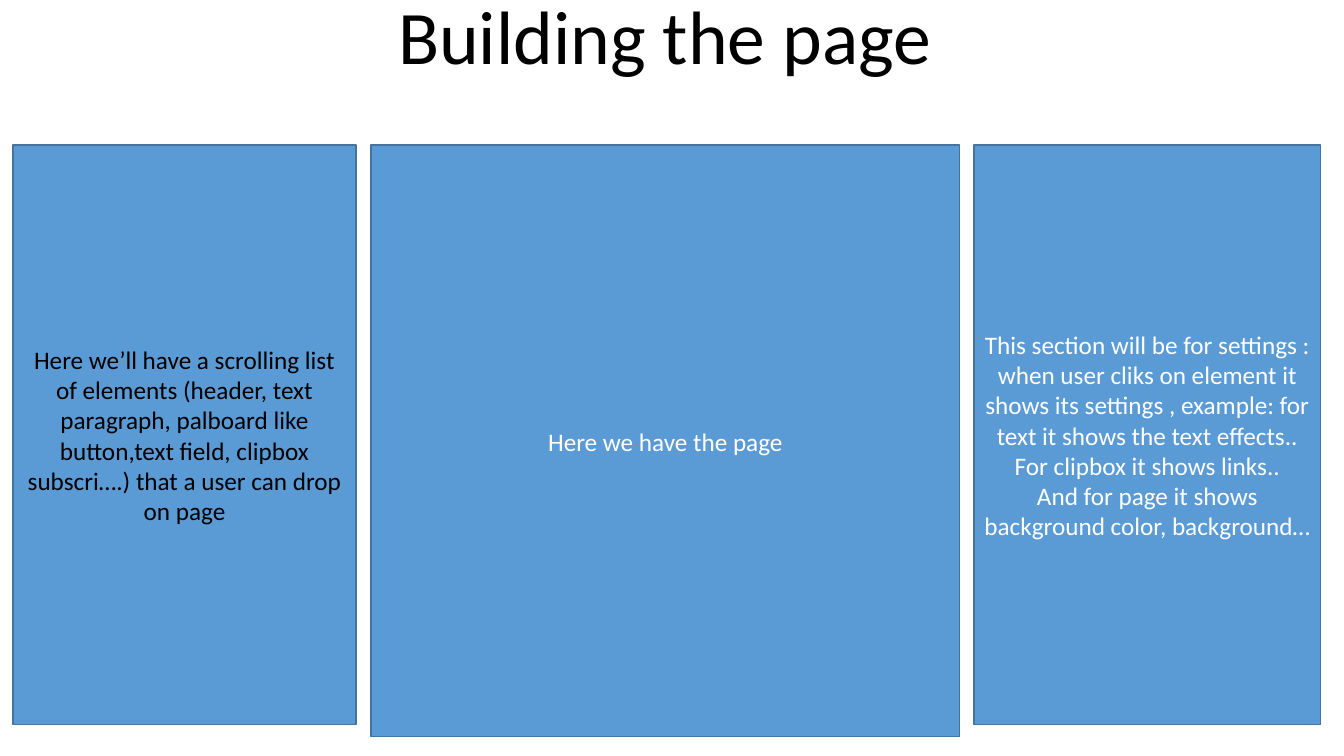
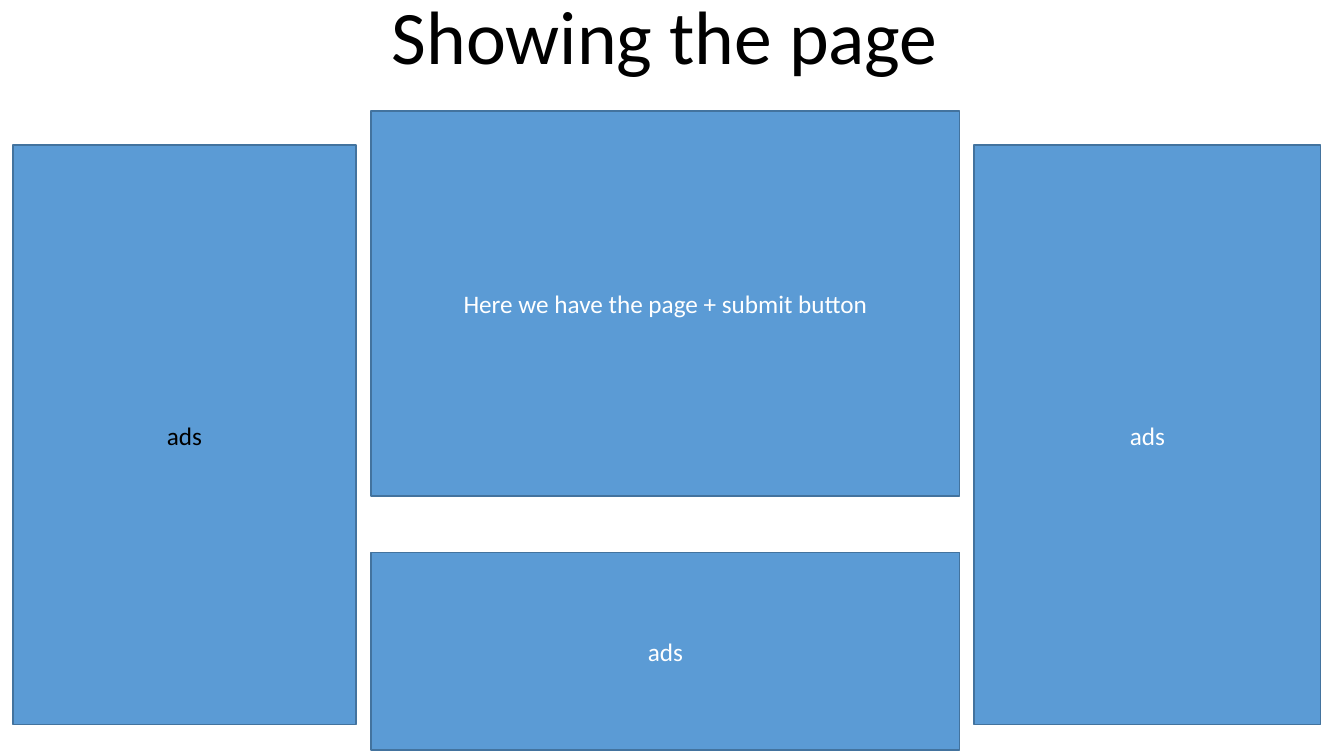
"""Build two slides that sketch the layout of a page builder."""
import pptx
import pptx.dml.color
import pptx.enum.shapes
import pptx.enum.text
import pptx.util

Inches = pptx.util.Inches

FONT = "Calibri"
BLACK = "000000"
WHITE = "FFFFFF"
PANEL_FILL = "5B9BD5"
PANEL_LINE = "43739E"

TITLE_BOX = (3.76, -0.16, 5.67, 1.01)
SIDE_TOP, SIDE_HEIGHT = 1.44, 5.75
LEFT_PANEL = (0.13, SIDE_TOP, 3.4, SIDE_HEIGHT)
RIGHT_PANEL = (9.66, SIDE_TOP, 3.44, SIDE_HEIGHT)
CENTER_LEFT, CENTER_WIDTH = 3.68, 5.84


def color(value):
    """Turn a hex string into a colour."""
    return pptx.dml.color.RGBColor.from_string(value)


def write_text(text_frame, text, size=18, text_color=WHITE, wrap=True):
    """Write centred paragraphs, one for each line of text."""
    text_frame.word_wrap = wrap
    for index, line in enumerate(text.split("\n")):
        paragraph = text_frame.add_paragraph() if index else text_frame.paragraphs[0]
        paragraph.alignment = pptx.enum.text.PP_ALIGN.CENTER
        run = paragraph.add_run()
        run.text = line
        run.font.name = FONT
        run.font.size = pptx.util.Pt(size)
        run.font.color.rgb = color(text_color)


def add_title(slide, text):
    """Add the large slide title."""
    text_frame = slide.shapes.add_textbox(*map(Inches, TITLE_BOX)).text_frame
    text_frame.auto_size = pptx.enum.text.MSO_AUTO_SIZE.SHAPE_TO_FIT_TEXT
    write_text(text_frame, text, size=54, text_color=BLACK, wrap=False)


def add_panel(slide, box, text, text_color=WHITE):
    """Add a blue rectangle with centred text."""
    rectangle = pptx.enum.shapes.MSO_SHAPE.RECTANGLE
    shape = slide.shapes.add_shape(rectangle, *map(Inches, box))
    shape.shadow.inherit = False
    shape.fill.solid()
    shape.fill.fore_color.rgb = color(PANEL_FILL)
    shape.line.color.rgb = color(PANEL_LINE)
    shape.line.width = pptx.util.Pt(1)
    shape.text_frame.vertical_anchor = pptx.enum.text.MSO_ANCHOR.MIDDLE
    write_text(shape.text_frame, text, text_color=text_color)


def add_layout_slide(presentation, title, left_text, right_text, center_panels):
    """Add a slide with two side panels and a stack of center panels."""
    slide = presentation.slides.add_slide(presentation.slide_layouts[6])
    add_panel(slide, LEFT_PANEL, left_text, text_color=BLACK)
    add_title(slide, title)
    for top, height, text in center_panels:
        add_panel(slide, (CENTER_LEFT, top, CENTER_WIDTH, height), text)
    add_panel(slide, RIGHT_PANEL, right_text)


def main():
    """Build and save the presentation."""
    presentation = pptx.Presentation()
    presentation.slide_width = Inches(13.33)
    presentation.slide_height = Inches(7.5)
    add_layout_slide(
        presentation,
        "Building the page",
        "Here we’ll have a scrolling list of elements (header, text paragraph, "
        "palboard like button,text field, clipbox subscri….) that a user can "
        "drop on page",
        "This section will be for settings : when user cliks on element it shows "
        "its settings , example: for text it shows the text effects..\n"
        "For clipbox it shows links..\n"
        "And for page it shows background color, background…",
        [(SIDE_TOP, 5.87, "Here we have the page")],
    )
    add_layout_slide(
        presentation,
        "Showing the page",
        "ads",
        "ads",
        [(1.1, 3.82, "Here we have the page + submit button"), (5.48, 1.96, "ads")],
    )
    presentation.save("out.pptx")


if __name__ == "__main__":
    main()
